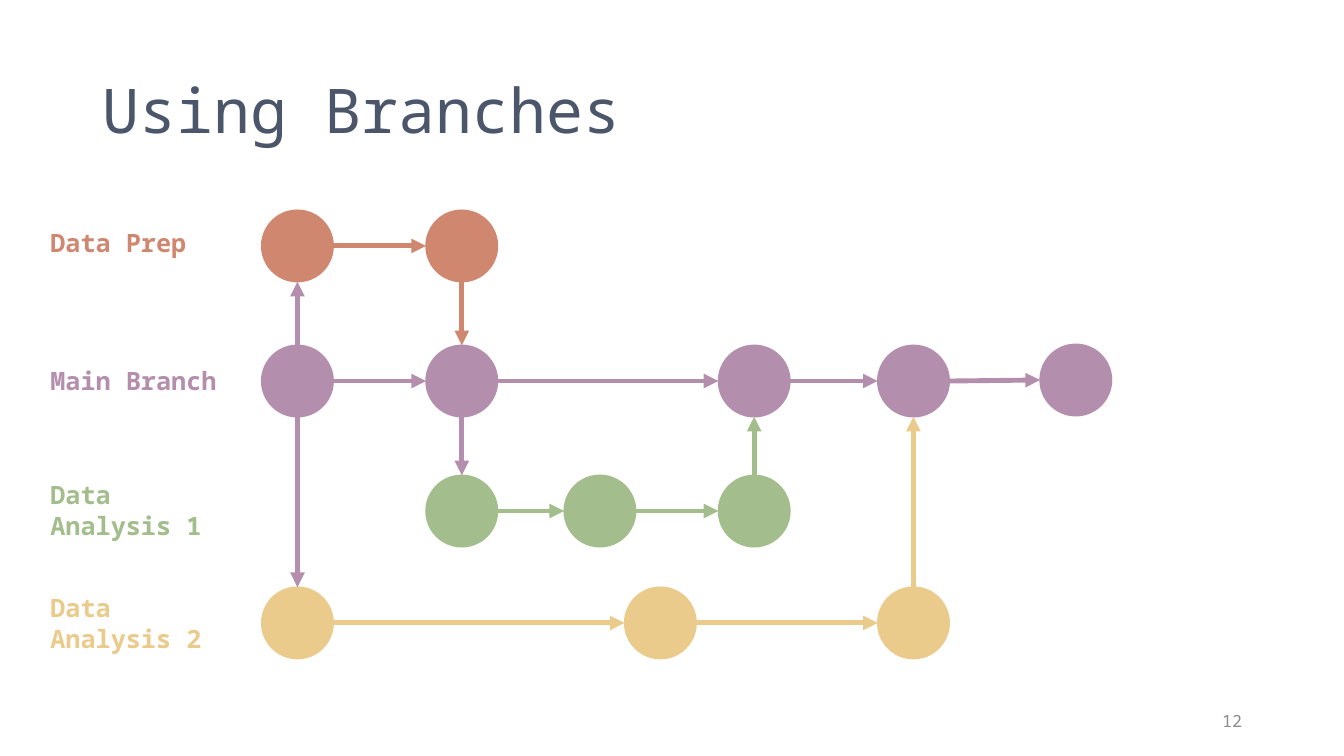
from lxml import etree
from pptx import Presentation
from pptx.dml.color import RGBColor
from pptx.enum.shapes import MSO_CONNECTOR, MSO_SHAPE
from pptx.enum.text import MSO_ANCHOR, MSO_AUTO_SIZE, PP_ALIGN
from pptx.oxml.ns import qn
from pptx.util import Inches, Pt

STRAIGHT = MSO_CONNECTOR.STRAIGHT
OVAL = MSO_SHAPE.OVAL
TOP, MIDDLE = MSO_ANCHOR.TOP, MSO_ANCHOR.MIDDLE
LEFT, RIGHT = PP_ALIGN.LEFT, PP_ALIGN.RIGHT
NO_AUTOFIT = MSO_AUTO_SIZE.NONE

FONT = "Noto Sans Mono"
SLATE = RGBColor(0x4C, 0x56, 0x6A)
GREY = RGBColor(0x8C, 0x8C, 0x8C)
ORANGE = RGBColor(0xD0, 0x87, 0x70)
PURPLE = RGBColor(0xB4, 0x8E, 0xAD)
GREEN = RGBColor(0xA3, 0xBE, 0x8C)
YELLOW = RGBColor(0xEB, 0xCB, 0x8B)

DIAMETER = 0.71
RADIUS = DIAMETER / 2

BRANCHES = [
    ("Data Prep", ORANGE, (0.4, 2.21, 1.65, 0.4)),
    ("Main Branch", PURPLE, (0.4, 3.58, 1.95, 0.4)),
    ("Data Analysis 1", GREEN, (0.4, 4.71, 1.95, 0.71)),
    ("Data Analysis 2", YELLOW, (0.4, 5.83, 2.01, 0.71)),
]

COMMITS = {
    "prep 1": (2.95, 2.44, ORANGE),
    "prep 2": (4.58, 2.44, ORANGE),
    "main 1": (2.95, 3.78, PURPLE),
    "main 2": (4.58, 3.78, PURPLE),
    "main 3": (7.48, 3.78, PURPLE),
    "main 4": (9.06, 3.78, PURPLE),
    "main 5": (10.67, 3.77, PURPLE),
    "first 1": (4.58, 5.07, GREEN),
    "first 2": (5.95, 5.07, GREEN),
    "first 3": (7.48, 5.07, GREEN),
    "second 1": (2.95, 6.18, YELLOW),
    "second 2": (6.55, 6.18, YELLOW),
    "second 3": (9.06, 6.18, YELLOW),
}

CHAINS = [
    ("prep 1", "prep 2", "main 2"),
    ("main 1", "main 2", "main 3", "main 4", "main 5"),
    ("main 1", "prep 1"),
    ("main 1", "second 1"),
    ("main 2", "first 1"),
    ("first 1", "first 2", "first 3", "main 3"),
    ("second 1", "second 2", "second 3", "main 4"),
]


def write_text(shape, text, size, color, bold=False, align=LEFT, anchor=TOP):
    frame = shape.text_frame
    frame.word_wrap = True
    frame.auto_size = NO_AUTOFIT
    frame.vertical_anchor = anchor
    paragraph = frame.paragraphs[0]
    paragraph.alignment = align
    run = paragraph.add_run()
    run.text = text
    run.font.name = FONT
    run.font.size = Pt(size)
    run.font.bold = bold
    run.font.color.rgb = color
    return paragraph


def add_title(slide, text):
    title = slide.shapes.title
    title.left, title.top = Inches(0.92), Inches(0.4)
    title.width, title.height = Inches(11.5), Inches(1.45)
    paragraph = write_text(title, text, 44, SLATE, anchor=MIDDLE)
    paragraph.line_spacing = 0.9


def add_label(slide, box, text, size, color, **style):
    label = slide.shapes.add_textbox(*map(Inches, box))
    write_text(label, text, size, color, **style)


def add_commit(slide, name):
    x, y, color = COMMITS[name]
    circle = slide.shapes.add_shape(
        OVAL, Inches(x - RADIUS), Inches(y - RADIUS), Inches(DIAMETER), Inches(DIAMETER)
    )
    circle.name = name
    circle.shadow.inherit = False
    circle.fill.solid()
    circle.fill.fore_color.rgb = color
    circle.line.color.rgb = color
    circle.line.width = Pt(1)


def add_arrow(slide, source, target):
    x1, y1, color = COMMITS[source]
    x2, y2, _ = COMMITS[target]
    if abs(x2 - x1) > abs(y2 - y1):
        x1, x2 = x1 + RADIUS, x2 - RADIUS
    else:
        step = RADIUS if y2 > y1 else -RADIUS
        y1, y2 = y1 + step, y2 - step
    arrow = slide.shapes.add_connector(STRAIGHT, *map(Inches, (x1, y1, x2, y2)))
    arrow.line.color.rgb = color
    arrow.line.width = Pt(3.5)
    properties = arrow._element.spPr
    etree.SubElement(properties.find(qn("a:ln")), qn("a:tailEnd"), type="triangle")
    etree.SubElement(properties, qn("a:effectLst"))


def main():
    presentation = Presentation()
    presentation.slide_width = Inches(13.33)
    presentation.slide_height = Inches(7.5)
    slide = presentation.slides.add_slide(presentation.slide_layouts[5])
    add_title(slide, "Using Branches")
    for name in COMMITS:
        add_commit(slide, name)
    for chain in CHAINS:
        for source, target in zip(chain, chain[1:]):
            add_arrow(slide, source, target)
    for text, color, box in BRANCHES:
        add_label(slide, box, text, 18, color, bold=True)
    add_label(slide, (9.42, 6.95, 3, 0.4), "12", 12, GREY, align=RIGHT, anchor=MIDDLE)
    presentation.save("out.pptx")


if __name__ == "__main__":
    main()
